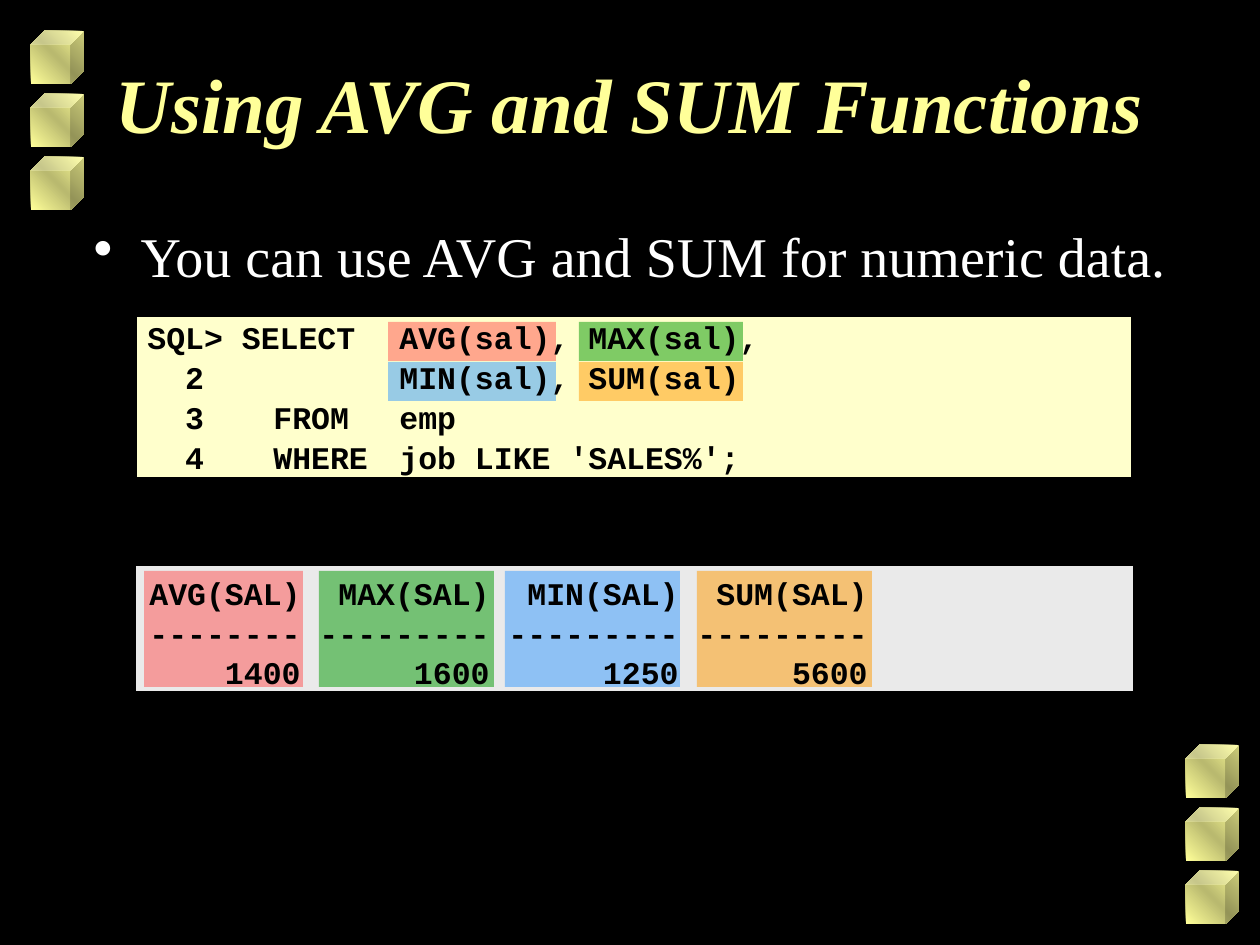
import pptx
import pptx.dml.color
import pptx.enum.shapes
import pptx.enum.text
import pptx.oxml
import pptx.oxml.ns
import pptx.util

EMU_PER_PX = 914400 / 126
COLORS = {
    "background": "000000", "title": "FFFF99", "body": "FFFFFF", "code": "000000",
    "cube_light": "FFFF99", "cube_dark": "B9B96F",
    "query": "FFFFCC", "result": "EAEAEA",
    "avg": "FF5050", "max": "009900", "min": "3399FF", "sum": "FF9900",
}
QUERY = [
    "SQL> SELECT\tAVG(sal), MAX(sal),",
    "  2\t\tMIN(sal), SUM(sal)",
    "  3\tFROM\temp",
    "  4\tWHERE\tjob LIKE 'SALES%';",
]
RESULT = [
    "AVG(SAL)  MAX(SAL)  MIN(SAL)  SUM(SAL)",
    "-------- --------- --------- ---------",
    "    1400      1600      1250      5600",
]
HIGHLIGHTS = {
    "avg": [(388, 322, 168, 39), (144, 571, 159, 116)],
    "max": [(579, 322, 164, 39), (319, 571, 175, 116)],
    "min": [(388, 362, 168, 39), (505, 571, 175, 116)],
    "sum": [(579, 362, 164, 39), (697, 571, 175, 116)],
}
CUBE_SIZE, CUBE_PITCH = 53, 63


def px(length):
    """Turn a length in px into EMU."""
    return pptx.util.Emu(round(length * EMU_PER_PX))


def rgb(name):
    """Look up a named colour."""
    return pptx.dml.color.RGBColor.from_string(COLORS[name])


def element(tag, content="", **attributes):
    """Make a DrawingML element with inner XML."""
    listed = "".join(f' {key}="{value}"' for key, value in attributes.items())
    namespace = pptx.oxml.ns.nsdecls("a")
    return pptx.oxml.parse_xml(f"<a:{tag} {namespace}{listed}>{content}</a:{tag}>")


def add_preset(slide, kind, box):
    """Add a preset shape without shadow or line."""
    shape = slide.shapes.add_shape(kind, *map(px, box))
    shape.shadow.inherit = False
    shape.line.fill.background()
    return shape


def add_cube(slide, left, top):
    """Add a cube with a diagonal light-dark-light gradient."""
    shape = add_preset(slide, pptx.enum.shapes.MSO_SHAPE.CUBE, (left, top, CUBE_SIZE, CUBE_SIZE))
    stops = zip((0, 50000, 100000), ("cube_light", "cube_dark", "cube_light"))
    stop_list = "".join(
        f'<a:gs pos="{position}"><a:srgbClr val="{COLORS[name]}"/></a:gs>' for position, name in stops)
    gradient = element("gradFill", f'<a:gsLst>{stop_list}</a:gsLst><a:lin ang="18900000" scaled="1"/>')
    shape.fill.background()
    properties = shape.fill._xPr
    properties.replace(properties.find(pptx.oxml.ns.qn("a:noFill")), gradient)


def add_panel(slide, box, color):
    """Add a filled panel with a black outline."""
    shape = add_preset(slide, pptx.enum.shapes.MSO_SHAPE.RECTANGLE, box)
    shape.fill.solid()
    shape.fill.fore_color.rgb = rgb(color)
    shape.line.color.rgb = rgb("background")
    shape.line.width = pptx.util.Pt(2)


def add_highlight(slide, box, color):
    """Add a half-transparent rectangle."""
    shape = add_preset(slide, pptx.enum.shapes.MSO_SHAPE.RECTANGLE, box)
    shape.fill.solid()
    shape.fill.fore_color.rgb = rgb(color)
    fill = shape.fill._xPr.find(pptx.oxml.ns.qn("a:solidFill"))
    fill[0].append(element("alpha", val=50000))


def add_text(slide, box, lines, *, size, color, font="Times New Roman", bold=False, italic=False,
             align="LEFT", anchor="TOP", inset_top=6, spacing=None, tabs=(), bullet=None):
    """Add a text box with one paragraph for each line."""
    frame = slide.shapes.add_textbox(*map(px, box)).text_frame
    frame.word_wrap = True
    frame.margin_top = px(inset_top)
    frame.vertical_anchor = getattr(pptx.enum.text.MSO_ANCHOR, anchor)
    for index, line in enumerate(lines):
        paragraph = frame.add_paragraph() if index else frame.paragraphs[0]
        paragraph.alignment = getattr(pptx.enum.text.PP_ALIGN, align)
        if spacing:
            paragraph.line_spacing = spacing
        properties = paragraph._p.get_or_add_pPr()
        if bullet:
            properties.set("marL", str(px(47)))
            properties.set("indent", str(px(-47)))
            properties.append(element("buChar", char=bullet))
        if tabs:
            stops = "".join(f'<a:tab pos="{px(stop)}" algn="l"/>' for stop in tabs)
            properties.append(element("tabLst", stops))
        run = paragraph.add_run()
        run.text = line
        run.font.name = font
        run.font.size = pptx.util.Pt(size)
        run.font.bold = bold
        run.font.italic = italic
        run.font.color.rgb = rgb(color)


def main():
    """Build the slide and save it."""
    presentation = pptx.Presentation()
    presentation.slide_width, presentation.slide_height = px(1260), px(945)
    slide = presentation.slides.add_slide(presentation.slide_layouts[6])
    slide.background.fill.solid()
    slide.background.fill.fore_color.rgb = rgb("background")

    for left, top in ((31, 31), (1186, 745)):
        for index in range(3):
            add_cube(slide, left, top + index * CUBE_PITCH)

    add_panel(slide, (134, 564, 1001, 129), "result")
    add_panel(slide, (135, 315, 998, 164), "query")
    for color, boxes in HIGHLIGHTS.items():
        for box in boxes:
            add_highlight(slide, box, color)

    code = {"size": 18, "color": "code", "font": "Courier New", "bold": True, "spacing": 1.05}
    add_text(slide, (94, 42, 1071, 158), ["Using AVG and SUM Functions"], size=44, color="title",
             bold=True, italic=True, align="CENTER", inset_top=15)
    add_text(slide, (137, 566, 998, 126), RESULT, **code)
    add_text(slide, (0, 209, 1260, 79), ["You can use AVG and SUM for numeric data."], size=32,
             color="body", align="CENTER", inset_top=13, bullet="•")
    add_text(slide, (135, 312, 1002, 168), QUERY, anchor="MIDDLE", tabs=(126, 252), **code)
    presentation.save("out.pptx")


if __name__ == "__main__":
    main()
